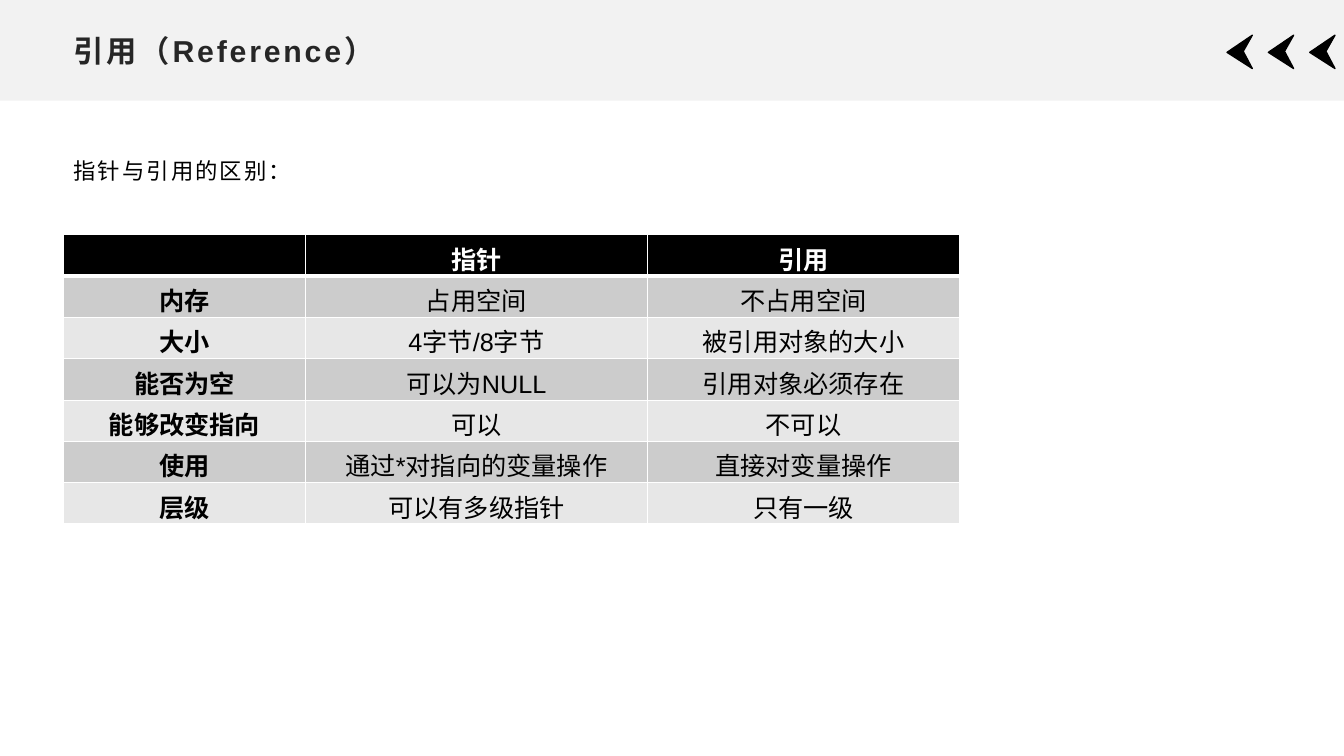
from lxml.etree import SubElement
from pptx import Presentation
from pptx.dml.color import RGBColor
from pptx.enum.shapes import MSO_SHAPE
from pptx.enum.text import MSO_ANCHOR, PP_ALIGN
from pptx.oxml.ns import qn
from pptx.util import Inches, Pt

TITLE = "引用（Reference）"
LEAD = "指针与引用的区别："
ROWS = [
    ("", "指针", "引用"),
    ("内存", "占用空间", "不占用空间"),
    ("大小", "4字节/8字节", "被引用对象的大小"),
    ("能否为空", "可以为NULL", "引用对象必须存在"),
    ("能够改变指向", "可以", "不可以"),
    ("使用", "通过*对指向的变量操作", "直接对变量操作"),
    ("层级", "可以有多级指针", "只有一级"),
]
COL_WIDTHS = [2.4, 3.39, 3.1]
ROW_HEIGHT = 0.41
LEFT = 0.63
TABLE_TOP = 2.33
HEADER_FILL, BANDS = "000000", ["E7E7E7", "CCCCCC"]
ARROW = [(0.25, 0.33), (0, 0.17), (0.25, 0), (0.16, 0.16)]
ARROW_LEFT, ARROW_TOP, ARROW_STEP, ARROW_COUNT = 12.17, 0.35, 0.41, 3


def rgb(value):
    return RGBColor.from_string(value)


def paint(s, color):
    s.shadow.inherit = False
    s.fill.solid()
    s.fill.fore_color.rgb = rgb(color)


def write(p, text, size, color, bold=False, spacing=0):
    r = p.add_run()
    r.text = text
    for name, value in {"name": "Arial", "size": Pt(size), "bold": bold}.items():
        setattr(r.font, name, value)
    r.font.color.rgb = rgb(color)
    if spacing:
        r._r.get_or_add_rPr().set("spc", str(int(spacing * 100)))


def add_text(slide, box, text, anchor, size, color, **style):
    tf = slide.shapes.add_textbox(*map(Inches, box)).text_frame
    tf.word_wrap = True
    tf.vertical_anchor = anchor
    p = tf.paragraphs[0]
    write(p, text, size, color, **style)
    return p


def add_arrow(slide, left):
    points = [(Inches(left + x), Inches(ARROW_TOP + y)) for x, y in ARROW]
    builder = slide.shapes.build_freeform(*points[0])
    builder.add_line_segments(points[1:], close=True)
    s = builder.convert_to_shape()
    paint(s, "000000")
    s.line.color.rgb = rgb("000000")
    s.line.width = Pt(1)


def set_borders(cell, widths):
    tcPr = cell._tc.get_or_add_tcPr()
    for side, width in widths.items():
        ln = SubElement(tcPr, qn(f"a:ln{side}"), w=str(Pt(width)))
        fill = SubElement(ln, qn("a:solidFill"))
        SubElement(fill, qn("a:srgbClr"), val="FFFFFF")


def add_comparison(slide):
    box = (LEFT, TABLE_TOP, sum(COL_WIDTHS), ROW_HEIGHT * len(ROWS))
    table = slide.shapes.add_table(len(ROWS), len(COL_WIDTHS), *map(Inches, box)).table
    for column, width in zip(table.columns, COL_WIDTHS):
        column.width = Inches(width)
    for i, row in enumerate(ROWS):
        table.rows[i].height = Inches(ROW_HEIGHT)
        header = i == 0
        borders = {"L": 1, "R": 1, "T": 3 if i == 1 else 1, "B": 3 if header else 1}
        for j, text in enumerate(row):
            cell = table.cell(i, j)
            set_borders(cell, borders)
            cell.fill.solid()
            cell.fill.fore_color.rgb = rgb(HEADER_FILL if header else BANDS[i % 2])
            p = cell.text_frame.paragraphs[0]
            p.alignment = PP_ALIGN.CENTER
            if text:
                write(p, text, 18, "FFFFFF" if header else "000000", header or j == 0)


def main():
    """Build the slide comparing pointers and references."""
    prs = Presentation()
    prs.slide_width, prs.slide_height = Inches(13.33), Inches(7.5)
    slide = prs.slides.add_slide(prs.slide_layouts[6])

    band = slide.shapes.add_shape(MSO_SHAPE.RECTANGLE, 0, 0, prs.slide_width, Inches(1))
    paint(band, "F2F2F2")
    band.line.fill.background()
    for i in range(ARROW_COUNT):
        add_arrow(slide, ARROW_LEFT + i * ARROW_STEP)

    add_text(slide, (LEFT, 0.26, 12.07, 0.48), TITLE, MSO_ANCHOR.MIDDLE,
             21.6, "262626", bold=True, spacing=2)
    add_comparison(slide)
    p = add_text(slide, (LEFT, 1.43, 3.39, 0.48), LEAD, MSO_ANCHOR.TOP,
                 16, "000000", spacing=1.5)
    p.line_spacing = 1.3
    p.space_after = Pt(10)
    prs.save("out.pptx")


if __name__ == "__main__":
    main()
